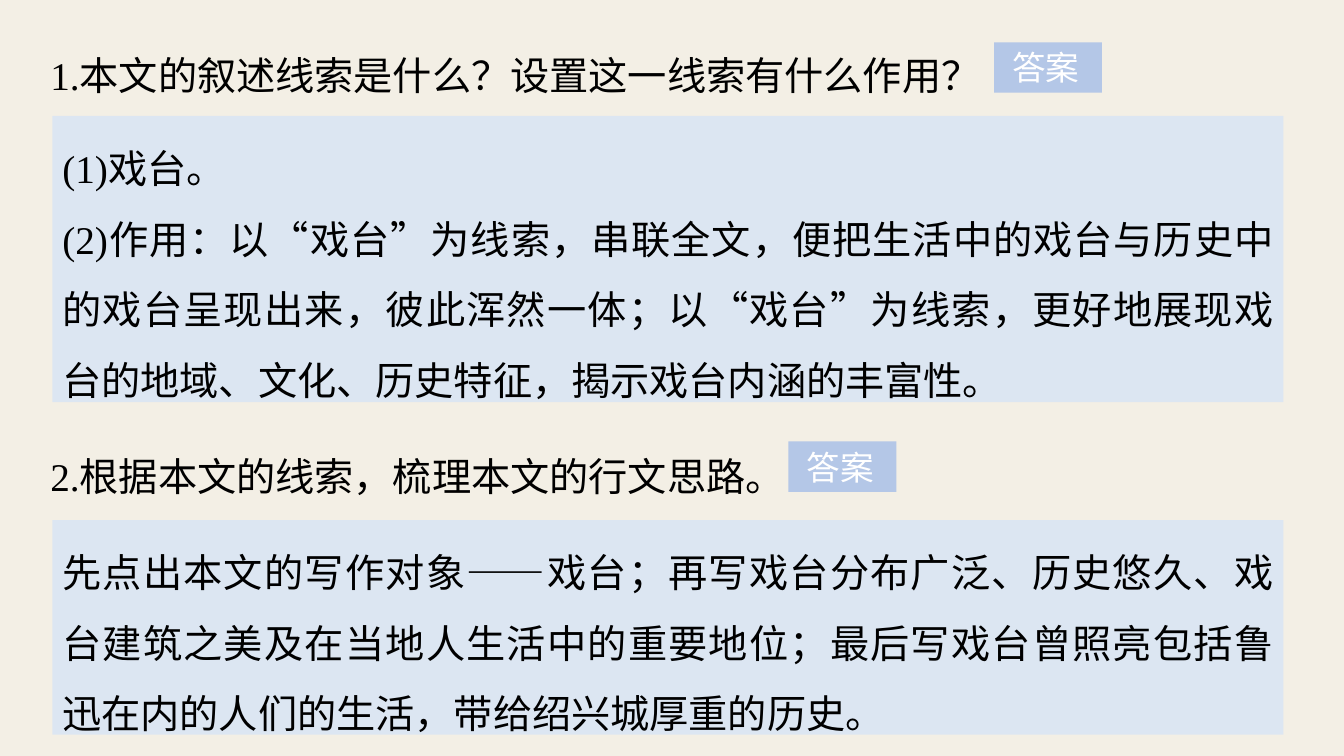
from itertools import groupby

from pptx import Presentation
from pptx.dml.color import RGBColor
from pptx.enum.shapes import MSO_SHAPE as SHAPE
from pptx.enum.text import MSO_ANCHOR as ANCHOR, MSO_AUTO_SIZE as AUTO, PP_ALIGN as ALIGN
from pptx.oxml.ns import qn
from pptx.util import Inches, Pt

CJK = "Noto Sans CJK SC"
QUOTES = "“”"


def rgb(value):
    return RGBColor.from_string(value)


class Lesson:
    background, panel, button = "F3EFE5", "DCE6F2", "B4C7E7"
    ink, button_ink = "000000", "FFFFFF"
    body_font, button_font = "Times New Roman", "Arial"
    body_size, button_size = 28, 24

    def __init__(self, prs):
        self.slide = prs.slides.add_slide(prs.slide_layouts[6])
        fill = self.slide.background.fill
        fill.solid()
        fill.fore_color.rgb = rgb(self.background)

    def frame(self, sp, side, edge):
        tf = sp.text_frame
        tf.word_wrap = True
        tf.auto_size = AUTO.SHAPE_TO_FIT_TEXT
        tf.vertical_anchor = ANCHOR.TOP
        tf.margin_left = tf.margin_right = Inches(side)
        tf.margin_top = tf.margin_bottom = Inches(edge)
        return tf

    def add_run(self, p, text, font, size, color):
        r = p.add_run()
        r.text = text
        r.font.name = font
        r.font.size = Pt(size)
        r.font.color.rgb = rgb(color)
        rPr = r._r.get_or_add_rPr()
        ea = rPr.makeelement(qn("a:ea"), {"typeface": CJK})
        rPr.find(qn("a:latin")).addnext(ea)

    def body_text(self, tf, paragraphs):
        """Fill the frame with justified body text; quotation marks take the CJK font."""
        for i, text in enumerate(paragraphs):
            p = tf.add_paragraph() if i else tf.paragraphs[0]
            p.alignment = ALIGN.JUSTIFY
            p.line_spacing = 1.5
            for quoted, chars in groupby(text, lambda ch: ch in QUOTES):
                font = CJK if quoted else self.body_font
                self.add_run(p, "".join(chars), font, self.body_size, self.ink)

    def rect(self, left, top, width, height, color):
        sp = self.slide.shapes.add_shape(
            SHAPE.RECTANGLE, Inches(left), Inches(top), Inches(width), Inches(height))
        sp.shadow.inherit = False
        sp.fill.solid()
        sp.fill.fore_color.rgb = rgb(color)
        sp.line.fill.background()
        return sp

    def question(self, top, text):
        sp = self.slide.shapes.add_textbox(
            Inches(0.37), Inches(top), Inches(12.55), Inches(0.75))
        self.body_text(self.frame(sp, 0.13, 0.07), [text])

    def answer_button(self, left, top):
        sp = self.rect(left, top, 1.07, 0.5, self.button)
        tf = self.frame(sp, 0.18, 0.05)
        p = tf.paragraphs[0]
        p.alignment = ALIGN.LEFT
        self.add_run(p, "答案", self.button_font, self.button_size, self.button_ink)

    def answer(self, top, height, paragraphs):
        sp = self.rect(0.52, top, 12.21, height, self.panel)
        self.body_text(self.frame(sp, 0.1, 0.05), paragraphs)


def main():
    prs = Presentation()
    prs.slide_width, prs.slide_height = Inches(13.33), Inches(7.5)
    s = Lesson(prs)

    s.question(0.21, "1.本文的叙述线索是什么？设置这一线索有什么作用？")
    s.answer_button(9.86, 0.42)
    s.answer(1.15, 2.84, [
        "(1)戏台。",
        "(2)作用：以“戏台”为线索，串联全文，便把生活中的戏台与历史中的戏台呈现出来，"
        "彼此浑然一体；以“戏台”为线索，更好地展现戏台的地域、文化、历史特征，"
        "揭示戏台内涵的丰富性。",
    ])

    s.question(4.18, "2.根据本文的线索，梳理本文的行文思路。")
    s.answer_button(7.82, 4.38)
    s.answer(5.16, 2.13, [
        "先点出本文的写作对象——戏台；再写戏台分布广泛、历史悠久、戏台建筑之美及在当地人"
        "生活中的重要地位；最后写戏台曾照亮包括鲁迅在内的人们的生活，带给绍兴城厚重的历史。",
    ])
    prs.save("out.pptx")


if __name__ == "__main__":
    main()
